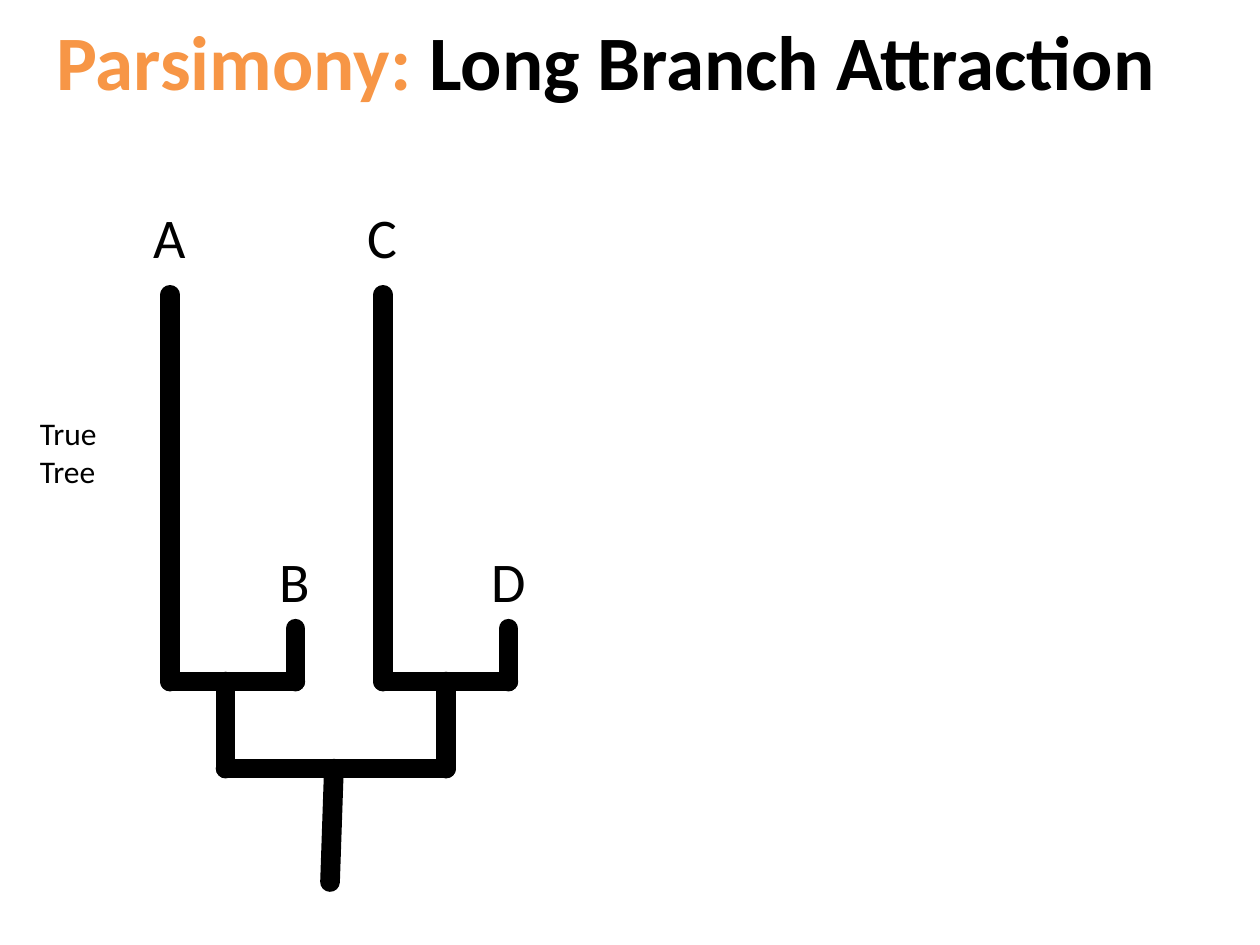
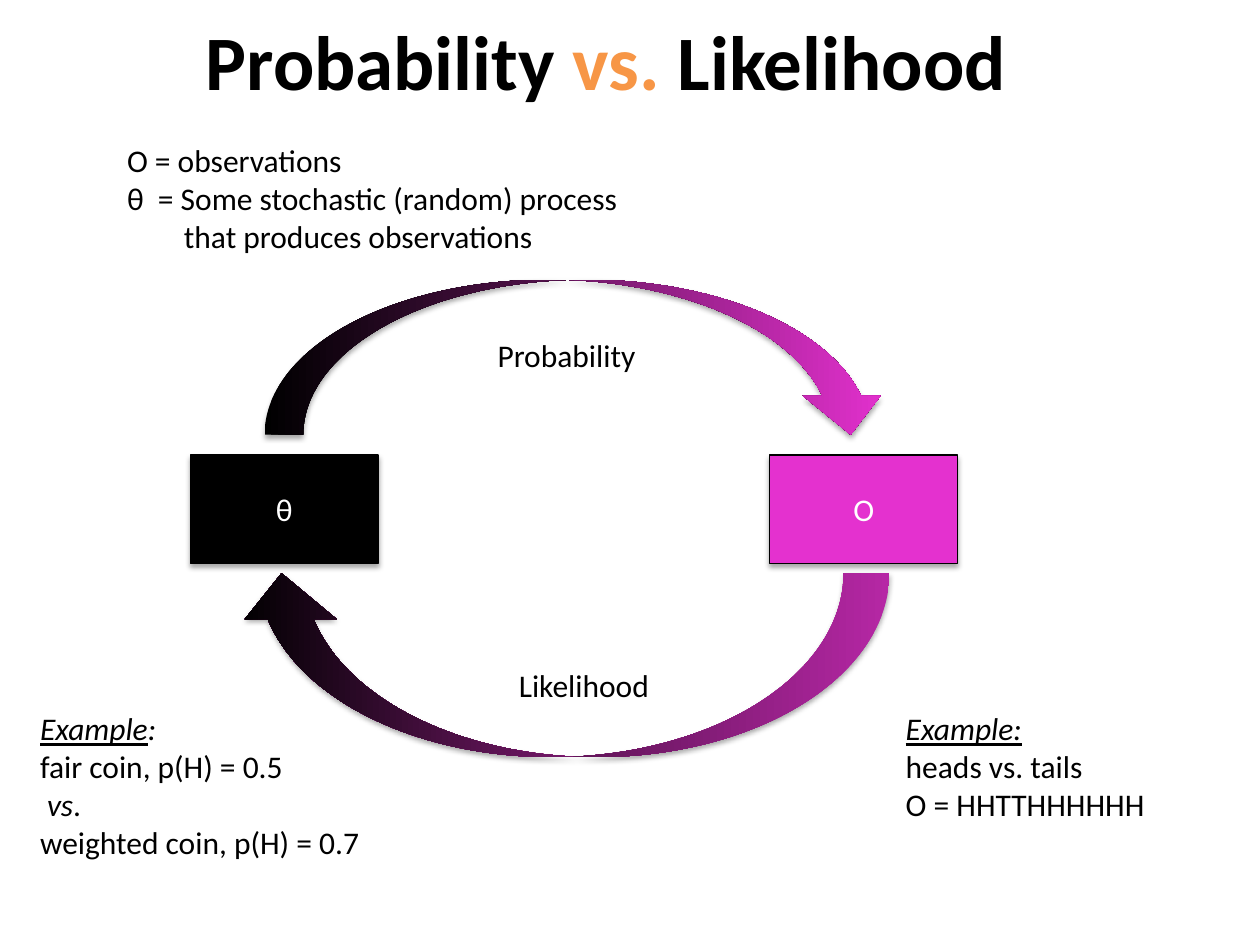
from lxml.etree import SubElement
from pptx import Presentation
from pptx.dml.color import RGBColor
from pptx.enum.shapes import MSO_CONNECTOR as Connector, MSO_SHAPE as Shape
from pptx.enum.text import MSO_ANCHOR as Anchor, MSO_AUTO_SIZE as AutoSize, PP_ALIGN as Align
from pptx.oxml.ns import qn
from pptx.util import Pt

BLACK = RGBColor(0x00, 0x00, 0x00)
WHITE = RGBColor(0xFF, 0xFF, 0xFF)
ORANGE = RGBColor(0xF7, 0x96, 0x46)
MAGENTA = RGBColor(0xE4, 0x31, 0xCF)

ITALIC = {"italic": True}
HEADING = {"italic": True, "underline": True}


def write(frame, lines, size=18, color=BLACK, align=Align.LEFT, **shared):
    for number, (indent, spans) in enumerate(lines):
        para = frame.paragraphs[0] if number == 0 else frame.add_paragraph()
        para.alignment = align
        if indent:
            para._p.get_or_add_pPr().set("marL", str(Pt(indent)))
        for text, changes in spans:
            span = para.add_run()
            span.text = text
            look = {"name": "Calibri", "size": Pt(size), "color": color, **shared, **changes}
            span.font.color.rgb = look.pop("color")
            spacing = look.pop("spacing", 0)
            for attribute, value in look.items():
                setattr(span.font, attribute, value)
            if spacing:
                span.font._element.set("spc", str(spacing * 100))


def add_shadow(shape):
    shape.shadow.inherit = False
    effects = shape._element.spPr.find(qn("a:effectLst"))
    outer = SubElement(effects, qn("a:outerShdw"), blurRad=str(Pt(3.1)), dist=str(Pt(1.8)),
                       dir="5400000", rotWithShape="0")
    tint = SubElement(outer, qn("a:srgbClr"), val=str(BLACK))
    SubElement(tint, qn("a:alpha"), val="35000")


deck = Presentation()
deck.slide_width, deck.slide_height = Pt(720), Pt(540)

titles = [
    [("Parsimony: ", {"color": ORANGE}), ("Long Branch Attraction", {})],
    [("Probability", {}), (" vs. ", {"color": ORANGE}), ("Likelihood", {})],
]
pages = []
for spans in titles:
    page = deck.slides.add_slide(deck.slide_layouts[5])
    title = page.shapes.title
    title.left, title.top, title.width, title.height = Pt(5.8), Pt(-23.8), Pt(681), Pt(116)
    title.text_frame.auto_size = AutoSize.NONE
    title.text_frame.vertical_anchor = Anchor.MIDDLE
    write(title.text_frame, [(0, spans)], size=44, align=Align.CENTER, bold=True)
    pages.append(page)
tree_page, cycle_page = pages

long_tip, short_tip, pair_join, root_join, root_end = 168.5, 359.3, 389.5, 439.2, 504
branches = [(190.8, root_join, 188.6, root_end)]
for long_x, stem_x in [(97.2, 128.9), (218.9, 254.9)]:
    short_x = long_x + 71.6
    branches += [
        (long_x, long_tip, long_x, pair_join),
        (long_x, pair_join, short_x, pair_join),
        (short_x, pair_join, short_x, short_tip),
        (stem_x, pair_join, stem_x, root_join),
    ]
branches.append((128.9, root_join, 254.9, root_join))

for ends in branches:
    branch = tree_page.shapes.add_connector(Connector.STRAIGHT, *map(Pt, ends))
    branch.line.color.rgb = BLACK
    branch.line.width = Pt(11.25)
    branch.line._ln.set("cap", "rnd")
    SubElement(branch._element.spPr, qn("a:effectLst"))

for label, fill, left in [("θ", BLACK, 108.7), ("O", MAGENTA, 439.9)]:
    box = cycle_page.shapes.add_shape(Shape.RECTANGLE, Pt(left), Pt(260), Pt(107.3), Pt(62))
    box.fill.solid()
    box.fill.fore_color.rgb = fill
    box.line.color.rgb = BLACK
    box.line.width = Pt(0.75)
    box.text_frame.vertical_anchor = Anchor.MIDDLE
    write(box.text_frame, [(0, [(label, {})])], color=WHITE, align=Align.CENTER)
    add_shadow(box)

arrows = [
    ((151.2, 159.8, 357.1, 88.6), (BLACK, MAGENTA), False),
    ((134.6, 327.6, 373.7, 105.1), (MAGENTA, BLACK), True),
]
for place, colors, flipped in arrows:
    arrow = cycle_page.shapes.add_shape(Shape.CURVED_DOWN_ARROW, *map(Pt, place))
    arrow.fill.gradient()
    arrow.fill.gradient_angle = 0
    for stop, color in zip(arrow.fill.gradient_stops, colors):
        stop.color.rgb = color
    arrow.line.fill.background()
    if flipped:
        for axis in ("flipH", "flipV"):
            arrow._element.spPr.xfrm.set(axis, "1")
    add_shadow(arrow)

notes = [
    (tree_page, (15.8, 233.3, 48.2, 51), 18, [(0, [("True", {})]), (0, [("Tree", {})])]),
    (tree_page, (80.6, 112.3, 33.1, 46), 32, [(0, [("A", {})])]),
    (tree_page, (152.6, 308.9, 32.4, 46), 32, [(0, [("B", {})])]),
    (tree_page, (203, 112.3, 31.7, 46), 32, [(0, [("C", {})])]),
    (tree_page, (273.6, 308.9, 34.6, 46), 32, [(0, [("D", {})])]),
    (cycle_page, (65.5, 77, 298.8, 72.7), 18, [
        (0, [("O = observations", {})]),
        (0, [("θ", {"spacing": 4}), (" = Some stochastic (random) process", {})]),
        (32.5, [("that produces observations", {})]),
    ]),
    (cycle_page, (15.8, 401.8, 200.2, 94.3), 18, [
        (0, [("Example", HEADING), (":", ITALIC)]),
        (0, [("fair coin, p(H) = 0.5", {})]),
        (4, [("vs", ITALIC), (".", {})]),
        (0, [("weighted coin, p(H) = 0.7", {})]),
    ]),
    (cycle_page, (510.5, 401.8, 153.4, 72.7), 18, [
        (0, [("Example:", HEADING)]),
        (0, [("heads vs. tails", {})]),
        (0, [("O = HHTTHHHHHH", {})]),
    ]),
    (cycle_page, (277.2, 188.6, 94.3, 29), 18, [(0, [("Probability", {})])]),
    (cycle_page, (289.4, 377.3, 90, 29), 18, [(0, [("Likelihood", {})])]),
]
for page, place, size, lines in notes:
    frame = page.shapes.add_textbox(*map(Pt, place)).text_frame
    frame.word_wrap = False
    frame.auto_size = AutoSize.SHAPE_TO_FIT_TEXT
    write(frame, lines, size=size)

deck.save("out.pptx")
